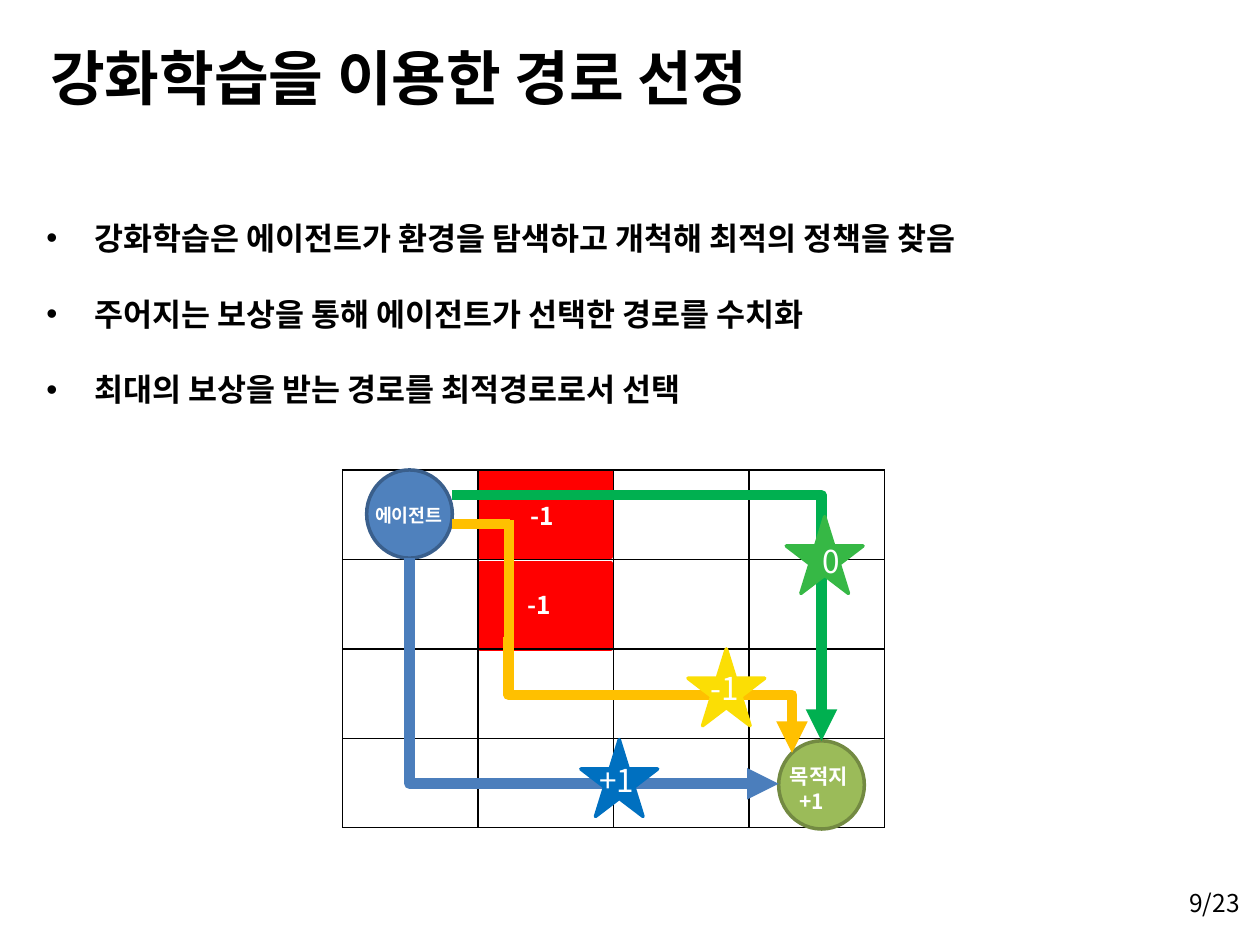
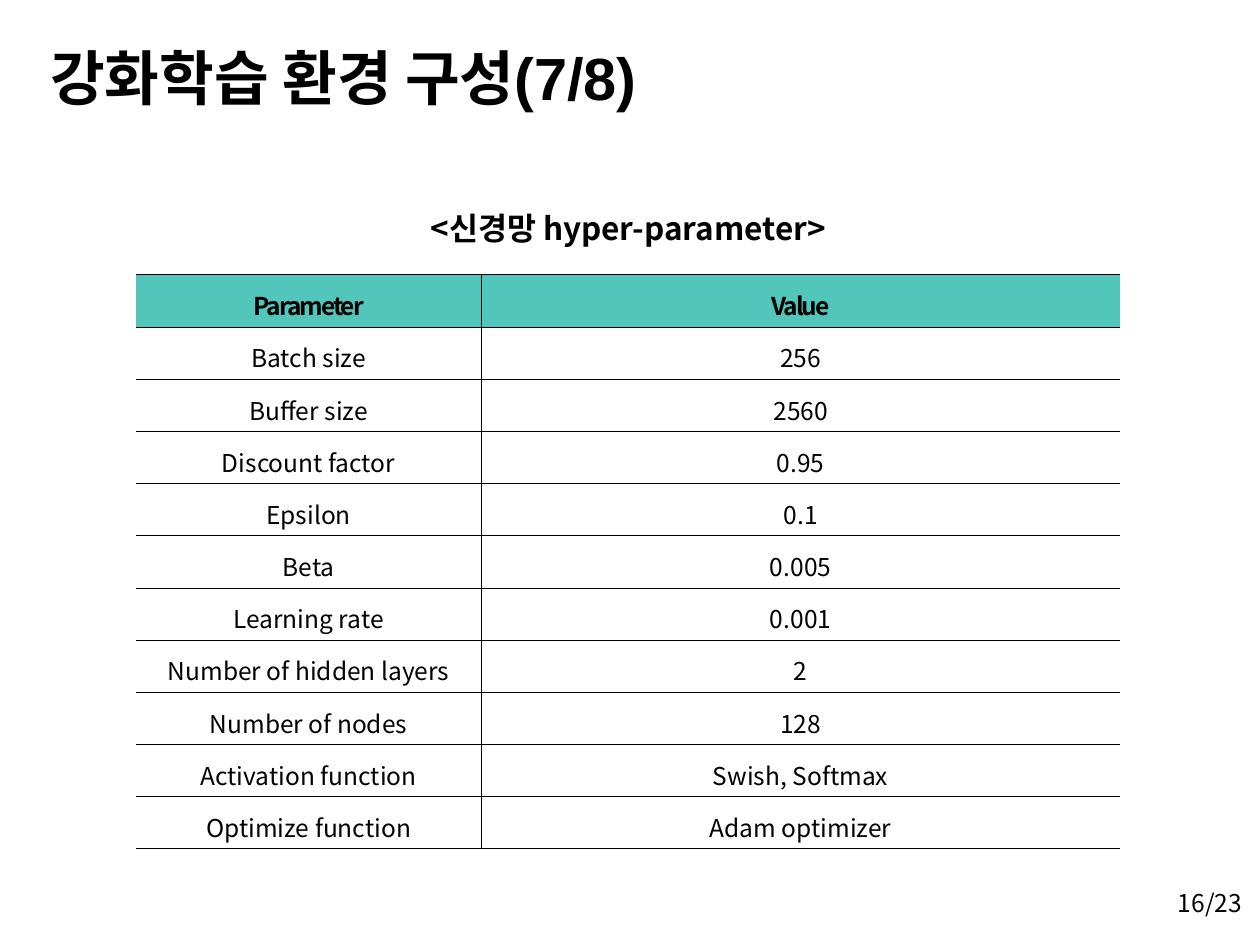
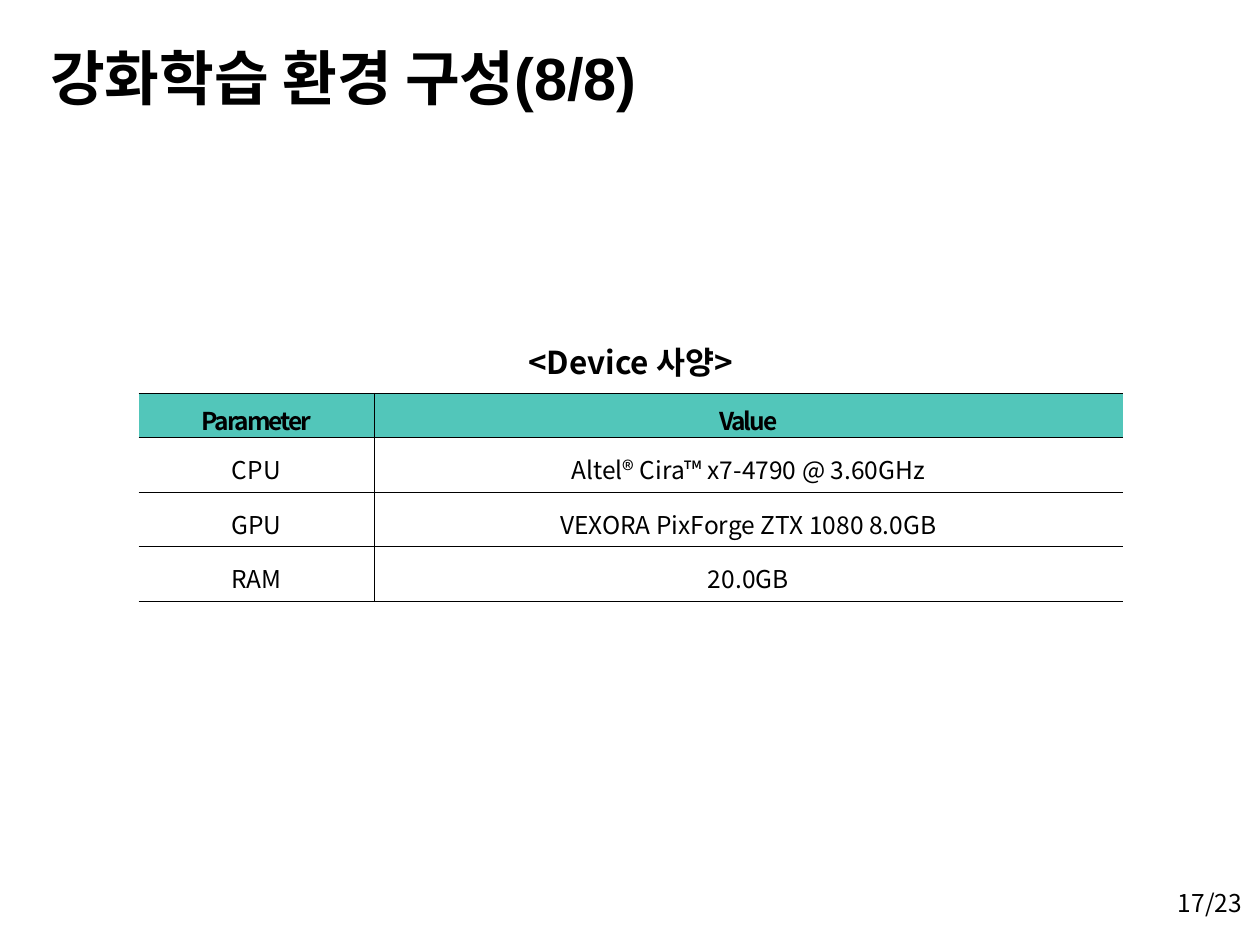
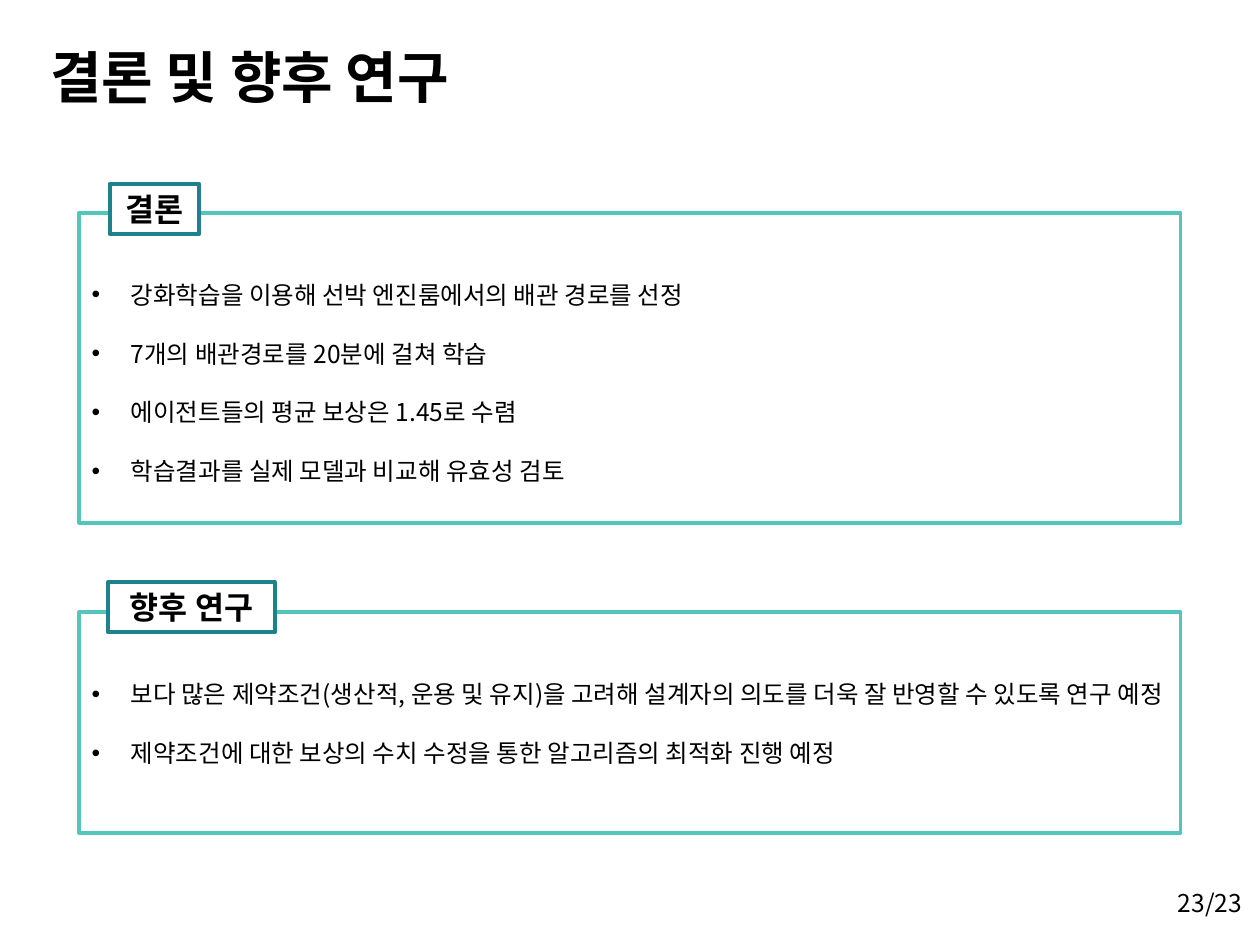
"""Build four slides on route selection with reinforcement learning."""
import pptx
import pptx.dml.color
import pptx.enum.shapes
import pptx.enum.text
import pptx.oxml
import pptx.oxml.ns
import pptx.oxml.xmlchemy
import pptx.util

RGBColor = pptx.dml.color.RGBColor
Pt = pptx.util.Pt
SHAPE = pptx.enum.shapes.MSO_SHAPE
CONNECTOR = pptx.enum.shapes.MSO_CONNECTOR
ALIGN = pptx.enum.text.PP_ALIGN
ANCHOR = pptx.enum.text.MSO_ANCHOR

BLACK = RGBColor(0x00, 0x00, 0x00)
WHITE = RGBColor(0xFF, 0xFF, 0xFF)
RED = RGBColor(0xFF, 0x00, 0x00)
TEAL = RGBColor(0x52, 0xC6, 0xBA)
DARK_TEAL = RGBColor(0x1E, 0x81, 0x8E)
AGENT_FILL = RGBColor(0x4F, 0x81, 0xBD)
AGENT_EDGE = RGBColor(0x3A, 0x5F, 0x8C)
GOAL_FILL = RGBColor(0x9B, 0xBB, 0x59)
GOAL_EDGE = RGBColor(0x73, 0x8A, 0x42)
GREEN_ROUTE = RGBColor(0x00, 0xB0, 0x50)
BLUE_ROUTE = RGBColor(0x4B, 0x7E, 0xBC)
YELLOW_ROUTE = RGBColor(0xFF, 0xC0, 0x00)
GREEN_STAR = RGBColor(0x36, 0xB8, 0x45)
YELLOW_STAR = RGBColor(0xFB, 0xDE, 0x05)
BLUE_STAR = RGBColor(0x00, 0x70, 0xC0)

COLUMNS, ROWS = 100, 75
BODY_FONT = "Noto Sans CJK KR"
TITLE_FONT = "Arial"
LINE_RATIO = 1.2
PAGE_TOTAL = 23


def apply(target, values):
    """Set every attribute named in a dict of format values."""
    for name, value in values.items():
        setattr(target, name, value)


def add_element(parent, tag, **attributes):
    """Append a drawing element with attributes and return it."""
    element = pptx.oxml.xmlchemy.OxmlElement(tag)
    for name, value in attributes.items():
        element.set(name, str(value))
    parent.append(element)
    return element


class SlideBuilder:
    """Hold the deck style and the current slide."""

    def __init__(self):
        """Start an empty deck."""
        self.deck = pptx.Presentation()
        apply(self.deck, {"slide_width": pptx.util.Inches(10), "slide_height": pptx.util.Inches(7.5)})
        self.page = None

    def columns(self, count):
        """Turn grid columns into a length."""
        return round(self.deck.slide_width * count / COLUMNS)

    def rows(self, count):
        """Turn grid rows into a length."""
        return round(self.deck.slide_height * count / ROWS)

    def area(self, left, top, width, height):
        """Turn grid cells into a position and size."""
        return self.columns(left), self.rows(top), self.columns(width), self.rows(height)

    def new_page(self, title, number, size=34):
        """Add a slide with its title and page number."""
        self.page = self.deck.slides.add_slide(self.deck.slide_layouts[6])
        box = self.text((3, 0.5, 78.5, 10.1), [title], size, bold=True, font=TITLE_FONT)
        apply(box.text_frame, {"vertical_anchor": ANCHOR.MIDDLE, "margin_top": self.rows(1.5)})
        left = 93.4 if number < 10 else 92.5
        self.text((left, 70, COLUMNS - left, 3.4), [f"{number}/{PAGE_TOTAL}"], 14)

    def set_lines(self, frame, lines, size, color=BLACK, bold=False, align=None, font=BODY_FONT,
                  bullet=0, line=None, before=0, tracking=0, indents=()):
        """Fill a text frame with one paragraph per line."""
        frame.word_wrap = True
        for index, words in enumerate(lines):
            para = frame.add_paragraph() if index else frame.paragraphs[0]
            properties = para._p.get_or_add_pPr()
            if bullet:
                properties.set("marL", str(self.columns(bullet)))
                properties.set("indent", str(-self.columns(bullet)))
                add_element(properties, "a:buFont", typeface="Arial")
                add_element(properties, "a:buChar", char="•")
            elif index < len(indents):
                properties.set("marL", str(self.columns(indents[index])))
            apply(para, {"alignment": align, "line_spacing": Pt(line or size * LINE_RATIO)})
            if index and before:
                para.space_before = Pt(before)
            span = para.add_run()
            span.text = words
            apply(span.font, {"size": Pt(size), "bold": bold, "name": font})
            span.font.color.rgb = color
            run_properties = span._r.get_or_add_rPr()
            add_element(run_properties, "a:ea", typeface=BODY_FONT)
            if tracking:
                run_properties.set("spc", str(tracking))

    def text(self, place, lines, size, **style):
        """Add a text box."""
        box = self.page.shapes.add_textbox(*self.area(*place))
        self.set_lines(box.text_frame, lines, size, **style)
        return box

    def shape(self, kind, place, fill, edge, width=2):
        """Add a preset shape."""
        item = self.page.shapes.add_shape(kind, *self.area(*place))
        item.shadow.inherit = False
        if fill is None:
            item.fill.background()
        else:
            item.fill.solid()
            item.fill.fore_color.rgb = fill
        item.line.color.rgb = edge
        item.line.width = Pt(width)
        item.text_frame.vertical_anchor = ANCHOR.TOP
        return item

    def route(self, place, color, kind=None, turned=False, start=None, end=None):
        """Add a thick straight line, or a bent arrow when a kind is given."""
        left, top, width, height = self.area(*place)
        style = CONNECTOR.ELBOW if kind else CONNECTOR.STRAIGHT
        link = self.page.shapes.add_connector(style, left, top, left + width, top + height)
        link.line.color.rgb = color
        link.line.width = Pt(6)
        properties = link._element.spPr
        if kind:
            properties.find(pptx.oxml.ns.qn("a:prstGeom")).set("prst", kind)
            add_element(link.line._get_or_add_ln(), "a:tailEnd", type="triangle")
        if turned:
            frame = properties.find(pptx.oxml.ns.qn("a:xfrm"))
            frame.set("rot", str(270 * 60000))
            frame.set("flipH", "1")
        add_element(properties, "a:effectLst")
        joints = link._element.nvCxnSpPr.cNvCxnSpPr
        for tag, joint in (("a:stCxn", start), ("a:endCxn", end)):
            if joint:
                add_element(joints, tag, id=joint[0].shape_id, idx=joint[1])

    def border(self, cell, sides, width):
        """Draw the named sides of a cell and clear the others."""
        properties = cell._tc.get_or_add_tcPr()
        for side in "LRTB":
            edge = add_element(properties, f"a:ln{side}", w=Pt(width))
            if side in sides:
                add_element(add_element(edge, "a:solidFill"), "a:srgbClr", val=BLACK)
            else:
                add_element(edge, "a:noFill")

    def table(self, place, widths, heights):
        """Add an unstyled table with the given columns and rows."""
        item = self.page.shapes.add_table(len(heights), len(widths), *self.area(*place)).table
        apply(item, {"first_row": False, "horz_banding": False})
        for column, width in zip(item.columns, widths):
            column.width = self.columns(width)
        for row, height in zip(item.rows, heights):
            row.height = self.rows(height)
        return item

    def parameter_table(self, place, widths, heights, records):
        """Add a two-column table with a coloured header."""
        table = self.table(place, widths, heights)
        for row, record in enumerate([("Parameter", "Value")] + records):
            for column, words in enumerate(record):
                cell = table.cell(row, column)
                self.border(cell, "LTB" if column else "RTB", 0.28)
                if row:
                    cell.fill.background()
                else:
                    cell.fill.solid()
                    cell.fill.fore_color.rgb = TEAL
                apply(cell, {"vertical_anchor": ANCHOR.MIDDLE, "margin_left": self.columns(0.7),
                             "margin_right": self.columns(0.7), "margin_top": self.rows(1),
                             "margin_bottom": 0})
                self.set_lines(cell.text_frame, [words], 14, bold=row == 0, align=ALIGN.CENTER,
                               line=18, tracking=0 if row else -120)

    def caption(self, place, words):
        """Add a centred bold caption."""
        self.text(place, [words], 18, bold=True, align=ALIGN.CENTER)

    def section(self, top, height, heading, tag, lines):
        """Add a framed bullet list with a heading tag on its edge."""
        frame = self.shape(SHAPE.RECTANGLE, (6.3, top, 87.4, height), None, TEAL, 2.25)
        frame.text_frame.margin_top = self.rows(5.3)
        self.set_lines(frame.text_frame, lines, 14, bullet=3.1, before=14 * LINE_RATIO,
                       align=ALIGN.LEFT)
        label = self.shape(SHAPE.RECTANGLE, tag, WHITE, DARK_TEAL, 2.25)
        self.set_lines(label.text_frame, [heading], 18, bold=True, align=ALIGN.CENTER)


def build_route_page(builder):
    """Show three routes through a reward grid."""
    builder.new_page("강화학습을 이용한 경로 선정", 9)
    for top in (37.4, 44.7):
        builder.shape(SHAPE.RECTANGLE, (38.1, top, 10.4, 6.8), RED, RED)
    grid = builder.table((27.2, 37.3, 43, 28.4), [10.75] * 4, [7.1] * 4)
    for cell in grid.iter_cells():
        builder.border(cell, "LRTB", 1)
        cell.fill.background()
    builder.text((2.7, 13.9, 92.2, 55.5), [
        "강화학습은 에이전트가 환경을 탐색하고 개척해 최적의 정책을 찾음",
        "주어지는 보상을 통해 에이전트가 선택한 경로를 수치화",
        "최대의 보상을 받는 경로를 최적경로로서 선택",
    ], 18, bold=True, bullet=3.8, line=18 * LINE_RATIO * 2)
    agent = builder.shape(SHAPE.OVAL, (29.1, 37.3, 6.8, 7), AGENT_FILL, AGENT_EDGE)
    goal = builder.shape(SHAPE.OVAL, (61.8, 58.8, 6.8, 7), GOAL_FILL, GOAL_EDGE)
    builder.text((61.7, 60.1, 8.6, 5), ["목적지", "+1"], 12, color=WHITE, bold=True, indents=(0, 0.75))
    for left, top in ((40.9, 46.3), (41.1, 39.3)):
        builder.text((left, top, 4.7, 3.4), ["-1"], 14, color=WHITE, bold=True)
    builder.text((28.1, 39.5, 8.7, 2.8), ["에이전트"], 10.5, color=WHITE, bold=True, align=ALIGN.CENTER)
    builder.route((35.9, 39.3, 29.3, 19.5), GREEN_ROUTE, "bentConnector2", end=(goal, 0))
    builder.route((38.2, 38.6, 17.9, 29.3), BLUE_ROUTE, "bentConnector2", True, (agent, 4), (goal, 2))
    builder.route((35.9, 41.6, 4.6, 0), YELLOW_ROUTE)
    builder.route((40.4, 41.3, 0, 9.3), YELLOW_ROUTE)
    builder.route((47, 43.9, 9.2, 22.5), YELLOW_ROUTE, "bentConnector3", True, end=(goal, 1))
    star = builder.shape(SHAPE.STAR_5_POINT, (62.4, 41, 6.1, 6.1), GREEN_STAR, GREEN_STAR)
    star.text_frame.vertical_anchor = ANCHOR.MIDDLE
    builder.set_lines(star.text_frame, ["0"], 18, color=WHITE, align=ALIGN.CENTER)
    for left, top, color, label, words in (
        (54.6, 51.5, YELLOW_STAR, (55.4, 52.6, 4.4, 4), "-1"),
        (46.1, 58.7, BLUE_STAR, (46.6, 59.9, 5.9, 4), "+1"),
    ):
        builder.shape(SHAPE.STAR_5_POINT, (left, top, 6.1, 6.1), color, color)
        builder.text(label, [words], 18, color=WHITE)


def build_parameter_page(builder):
    """List the network settings."""
    builder.new_page("강화학습 환경 구성(7/8)", 16)
    builder.parameter_table((10.8, 21.8, 78.1, 45.6), [27.4, 50.7], [45.6 / 11] * 11, [
        ("Batch size", "256"),
        ("Buffer size", "2560"),
        ("Discount factor", "0.95"),
        ("Epsilon", "0.1"),
        ("Beta", "0.005"),
        ("Learning rate", "0.001"),
        ("Number of hidden layers", "2"),
        ("Number of nodes", "128"),
        ("Activation function", "Swish, Softmax"),
        ("Optimize function", "Adam optimizer"),
    ])
    builder.caption((30.9, 16.1, 37.9, 4), "<신경망 hyper-parameter>")


def build_device_page(builder):
    """List the device specification."""
    builder.new_page("강화학습 환경 구성(8/8)", 17)
    builder.parameter_table((11, 31.2, 78.1, 16.5), [18.7, 59.4], [3.5] + [13 / 3] * 3, [
        ("CPU", "Altel® Cira™ x7-4790 @ 3.60GHz"),
        ("GPU", "VEXORA PixForge ZTX 1080 8.0GB"),
        ("RAM", "20.0GB"),
    ])
    builder.caption((40.2, 26.7, 19.7, 4), "<Device 사양>")


def build_conclusion_page(builder):
    """Sum up the results and the next steps."""
    builder.new_page("결론 및 향후 연구", 23, 32)
    builder.section(16.9, 24.6, "결론", (8.7, 14.6, 7.1, 4), [
        "강화학습을 이용해 선박 엔진룸에서의 배관 경로를 선정",
        "7개의 배관경로를 20분에 걸쳐 학습",
        "에이전트들의 평균 보상은 1.45로 수렴",
        "학습결과를 실제 모델과 비교해 유효성 검토",
    ])
    builder.section(48.6, 17.5, "향후 연구", (8.6, 46.2, 13.2, 4), [
        "보다 많은 제약조건(생산적, 운용 및 유지)을 고려해 설계자의 의도를 더욱 잘 반영할 수 있도록 연구 예정",
        "제약조건에 대한 보상의 수치 수정을 통한 알고리즘의 최적화 진행 예정",
    ])


def main():
    """Build every slide and save the deck."""
    builder = SlideBuilder()
    build_route_page(builder)
    build_parameter_page(builder)
    build_device_page(builder)
    build_conclusion_page(builder)
    builder.deck.save("out.pptx")


if __name__ == "__main__":
    main()
